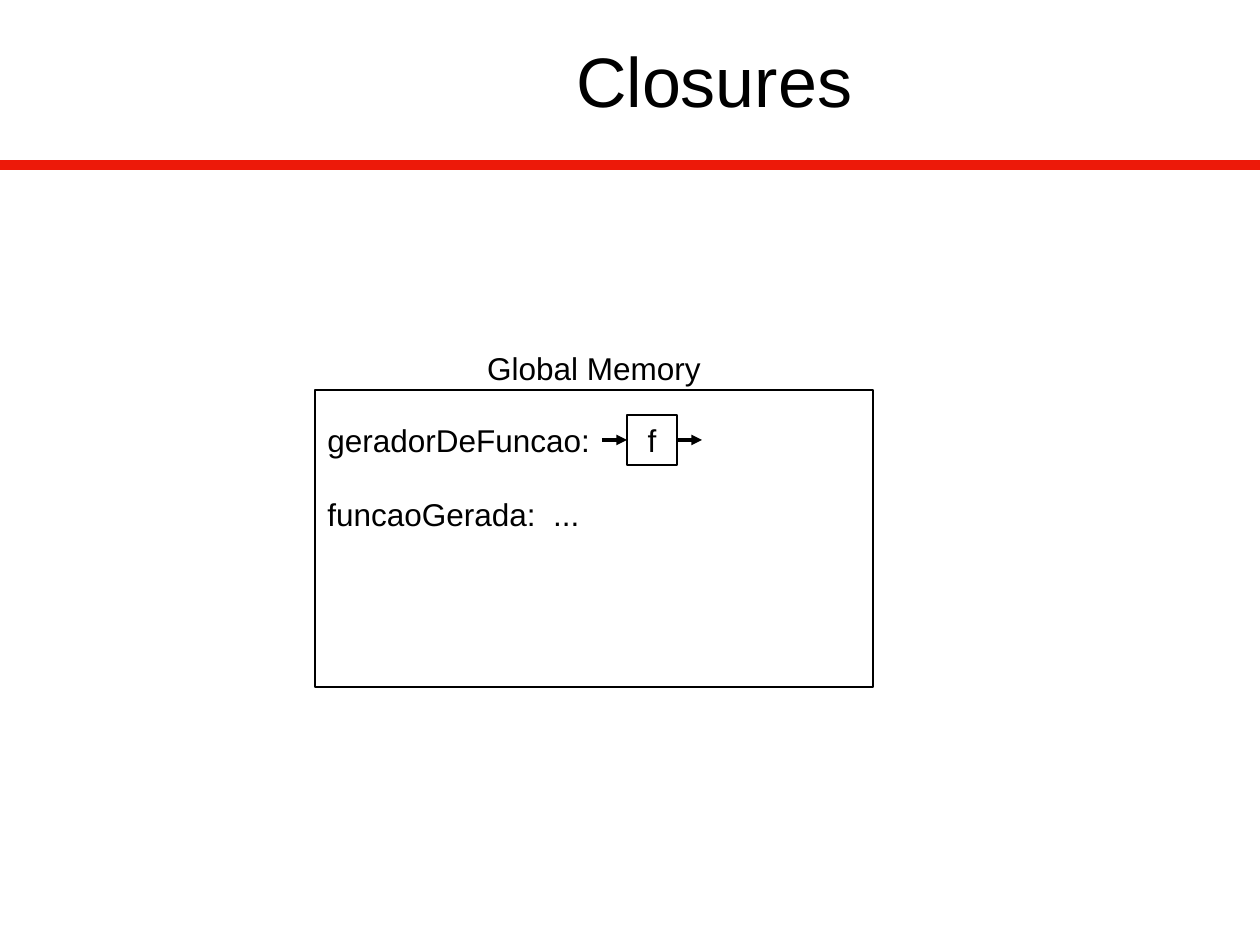
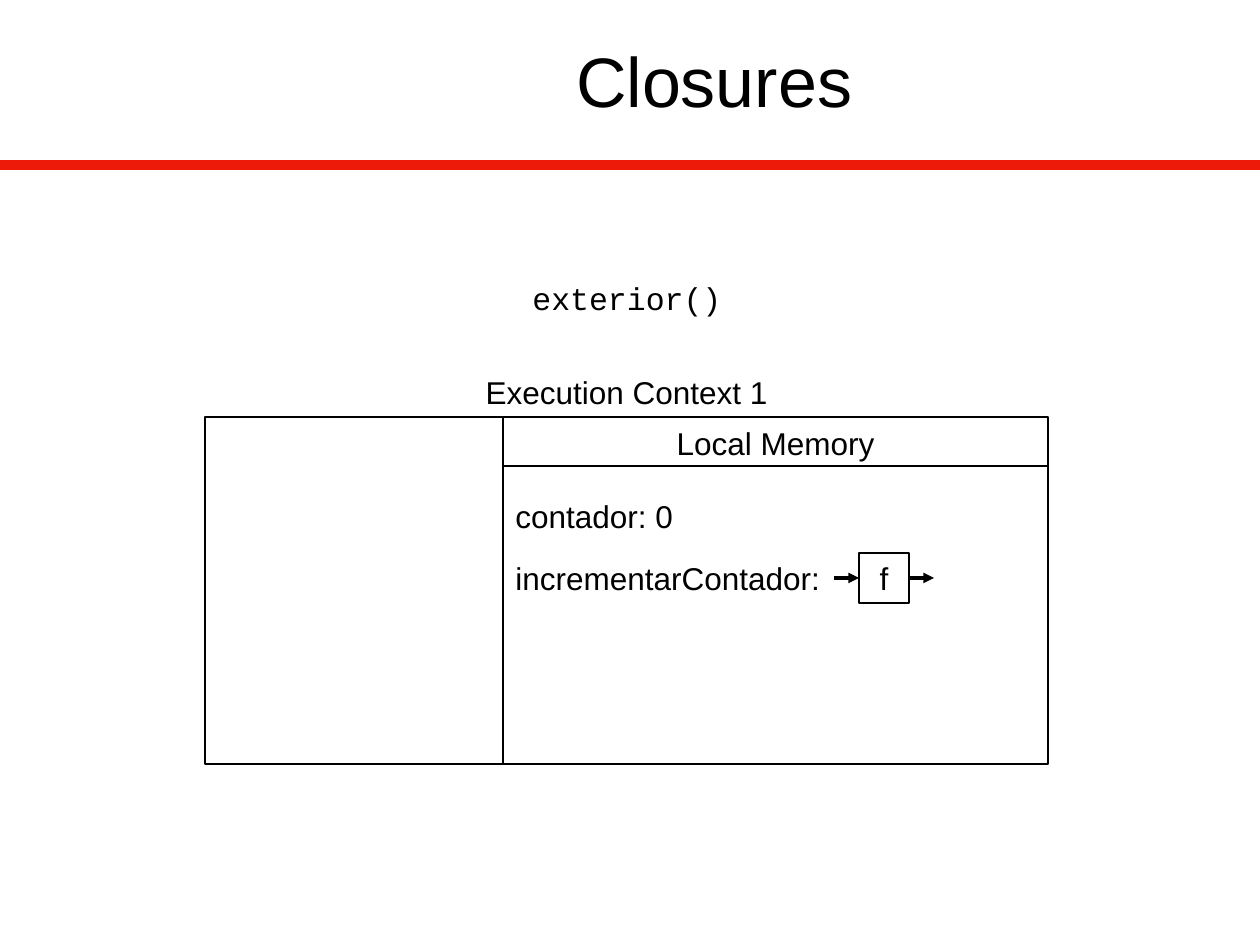
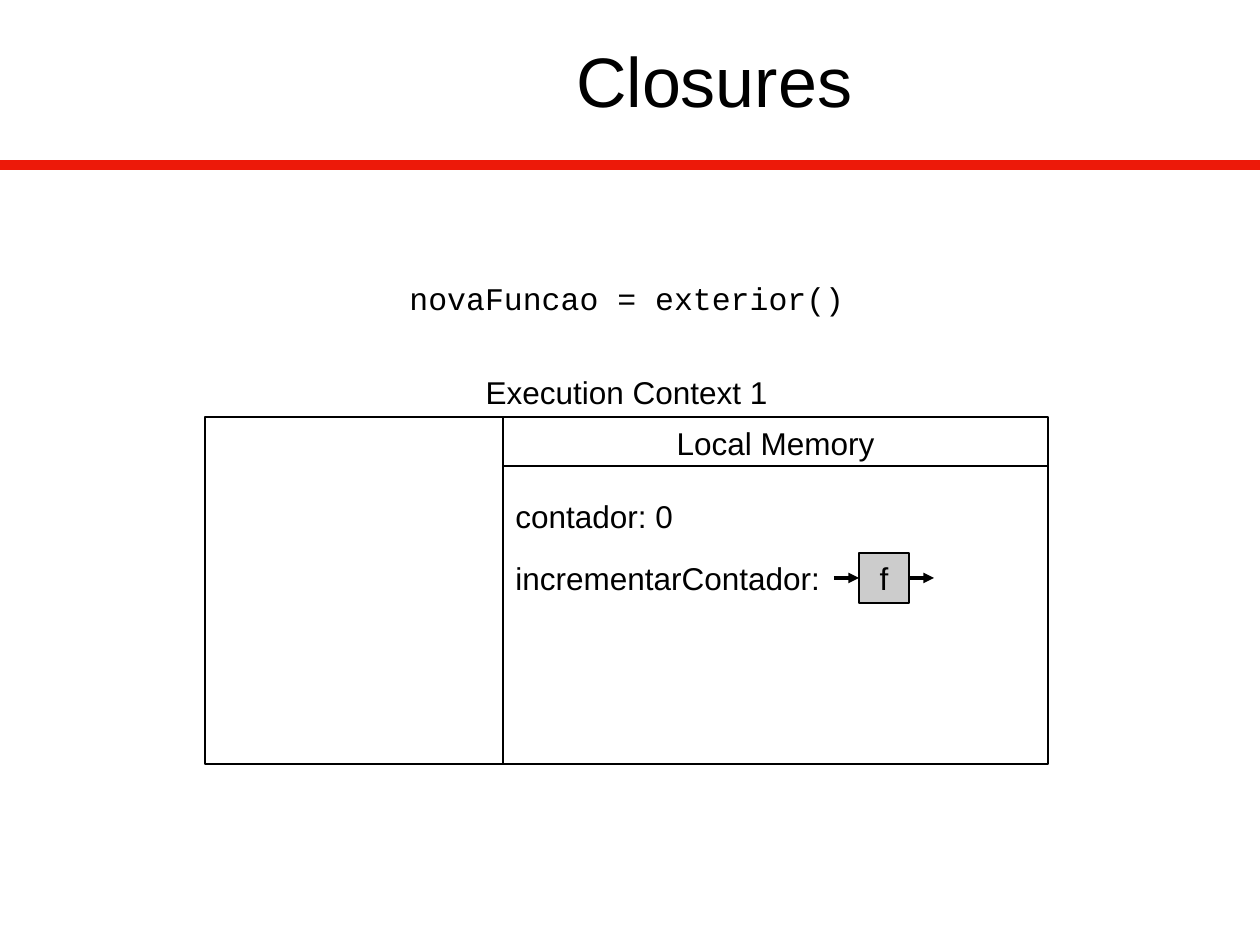
from lxml import etree
from pptx import Presentation
from pptx.dml.color import RGBColor
from pptx.enum.shapes import MSO_CONNECTOR, MSO_SHAPE
from pptx.enum.text import MSO_ANCHOR, PP_ALIGN
from pptx.oxml.ns import qn
from pptx.util import Emu, Pt

BLACK = RGBColor(0x00, 0x00, 0x00)
RED = RGBColor(0xED, 0x19, 0x09)
GREY = RGBColor(0xCC, 0xCC, 0xCC)
SANS, MONO = "Arial", "Courier New"
LEFT, CENTER = PP_ALIGN.LEFT, PP_ALIGN.CENTER
MIDDLE = MSO_ANCHOR.MIDDLE
STRAIGHT, RECTANGLE = MSO_CONNECTOR.STRAIGHT, MSO_SHAPE.RECTANGLE
TITLE_ONLY = 5

PX_PER_INCH = 126
SLIDE_SIZE = (1260, 945)
TITLE_BOX = (193, -11, 1042, 181)
BAND_Y = 165
LINE_HEIGHT = 50
FUNCTION_SIZE = 50
ARROW_LENGTH = 25
CODE_Y = 273

TITLE = "Closures"
GLOBAL_MEMORY = {
    "caption": "Global Memory", "caption_y": 343, "box": (315, 390, 558, 297),
    "variables_x": 315, "variables_width": 297, "function_x": 627,
    "variables": [("geradorDeFuncao:", 415, True), ("funcaoGerada:  ...", 489, False)],
}
EXECUTION_CONTEXT = {
    "caption": "Execution Context 1", "caption_y": 367, "box": (205, 417, 843, 347),
    "header": "Local Memory",
    "variables_x": 503, "variables_width": 348, "function_x": 859,
    "variables": [("contador: 0", 491, False), ("incrementarContador:", 553, True)],
}
# memory, code line with its left and width, fill of the function box
SLIDES = [
    (GLOBAL_MEMORY, None, None),
    (EXECUTION_CONTEXT, ("exterior()", 520, 214), None),
    (EXECUTION_CONTEXT, ("novaFuncao = exterior()", 397, 471), GREY),
]


def px(*lengths):
    return [Emu(round(length * 914400 / PX_PER_INCH)) for length in lengths]


def write_text(shape, text, size=18, font=SANS, align=LEFT, anchor=None, wrap=True):
    frame = shape.text_frame
    frame.word_wrap = wrap
    if anchor is not None:
        frame.vertical_anchor = anchor
    paragraph = frame.paragraphs[0]
    paragraph.alignment = align
    run = paragraph.add_run()
    run.text = text
    run.font.size = Pt(size)
    run.font.name = font
    run.font.color.rgb = BLACK


def add_text(slide, text, left, top, width, **text_format):
    textbox = slide.shapes.add_textbox(*px(left, top, width, LINE_HEIGHT))
    write_text(textbox, text, **text_format)


def add_line(shapes, start, end, color=BLACK, width=1, arrow=False):
    line = shapes.add_connector(STRAIGHT, *px(*start, *end))
    line.line.color.rgb = color
    line.line.width = Pt(width)
    if arrow:
        etree.SubElement(line.line._get_or_add_ln(), qn("a:tailEnd"), type="triangle")
    etree.SubElement(line.element.spPr, qn("a:effectLst"))
    return line


def add_box(shapes, bounds, fill=None):
    box = shapes.add_shape(RECTANGLE, *px(*bounds))
    box.shadow.inherit = False
    box.line.color.rgb = BLACK
    box.line.width = Pt(1)
    if fill is None:
        box.fill.background()
    else:
        box.fill.solid()
        box.fill.fore_color.rgb = fill
    return box


def add_function(slide, left, top, fill):
    """Add the box "f" with an arrow going in and one coming out."""
    group = slide.shapes.add_group_shape()
    box = add_box(group.shapes, (left, top, FUNCTION_SIZE, FUNCTION_SIZE), fill)
    write_text(box, "f", align=CENTER, anchor=MIDDLE, wrap=False)
    middle = top + FUNCTION_SIZE / 2
    for start in (left - ARROW_LENGTH, left + FUNCTION_SIZE):
        add_line(group.shapes, (start, middle), (start + ARROW_LENGTH, middle),
                 width=0, arrow=True)


def add_memory(slide, memory, function_fill):
    left, top, width, height = memory["box"]
    right, bottom = left + width, top + height
    variables_x = memory["variables_x"]
    add_text(slide, memory["caption"], left, memory["caption_y"], width, align=CENTER)
    add_box(slide.shapes, memory["box"])
    if "header" in memory:
        header_bottom = top + LINE_HEIGHT - 1
        add_line(slide.shapes, (variables_x, top), (variables_x, bottom))
        add_line(slide.shapes, (variables_x, header_bottom), (right, header_bottom))
        add_text(slide, memory["header"], variables_x, top + 1, right - variables_x,
                 align=CENTER)
    for text, row_y, is_function in memory["variables"]:
        add_text(slide, text, variables_x, row_y, memory["variables_width"])
        if is_function:
            add_function(slide, memory["function_x"], row_y, function_fill)


def place_title(title):
    title.left, title.top, title.width, title.height = px(*TITLE_BOX)


def add_band(layout, slide):
    """Draw the red band and move it to the layout, where every slide shows it."""
    band = add_line(slide.shapes, (0, BAND_Y), (SLIDE_SIZE[0], BAND_Y), color=RED, width=6)
    layout.shapes.element.append(band.element)


def main():
    presentation = Presentation()
    presentation.slide_width, presentation.slide_height = px(*SLIDE_SIZE)
    layout = presentation.slide_layouts[TITLE_ONLY]
    for memory, code, function_fill in SLIDES:
        slide = presentation.slides.add_slide(layout)
        place_title(slide.shapes.title)
        write_text(slide.shapes.title, TITLE, size=40, align=CENTER, anchor=MIDDLE)
        if code:
            text, left, width = code
            add_text(slide, text, left, CODE_Y, width, font=MONO)
        add_memory(slide, memory, function_fill)
    add_band(layout, presentation.slides[0])
    presentation.save("out.pptx")


if __name__ == "__main__":
    main()
